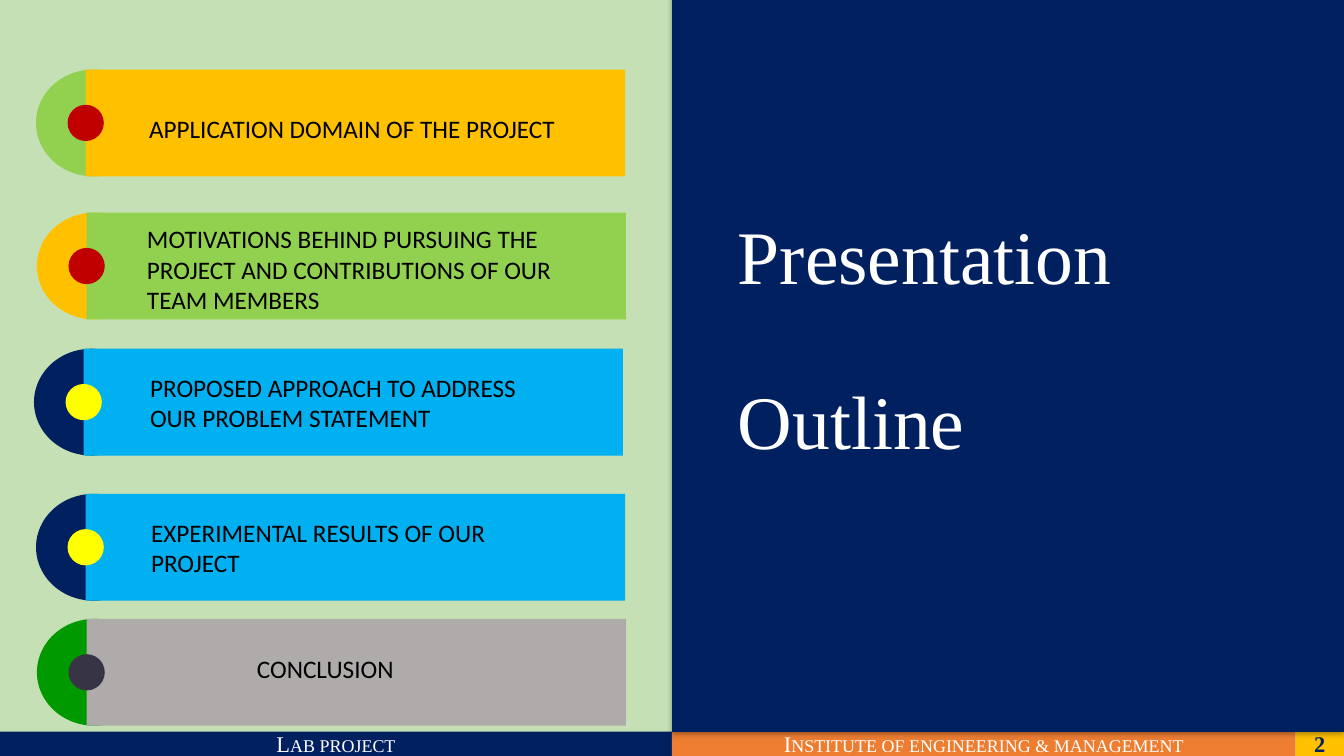
import pptx
import pptx.util
import pptx.dml.color
import pptx.enum.shapes
import pptx.enum.text
import pptx.oxml
from dataclasses import dataclass
from lxml import etree

Shapes = pptx.enum.shapes.MSO_SHAPE
Anchor = pptx.enum.text.MSO_ANCHOR
Align = pptx.enum.text.PP_ALIGN
NAMESPACE = "http://schemas.openxmlformats.org/drawingml/2006/main"
WIDTH = pptx.util.Inches(13.333)
HEIGHT = pptx.util.Inches(7.5)


@dataclass(frozen=True)
class Theme:
    navy: str = "002060"
    orange: str = "ED7D31"
    gold: str = "FFC000"
    pale: str = "C5E0B4"
    lime: str = "92D050"
    sky: str = "00B0F0"
    green: str = "009900"
    grey: str = "AFABAB"
    red: str = "C00000"
    yellow: str = "FFFF00"
    slate: str = "373545"
    white: str = "FFFFFF"
    black: str = "000000"
    serif: str = "Times New Roman"
    sans: str = "Calibri"
    title: int = 54
    item: int = 18
    footer: int = 16


THEME = Theme()
BAR_WIDTH, BAR_HEIGHT = 40.13, 14.13
CAP_WIDTH, CAP_OFFSET = 8.55, 3.7
DOT_WIDTH, DOT_HEIGHT = 2.7, 4.8
LABEL_PADDING, LABEL_LINE = 1.33, 4.07
FOOTER_TOP = 96.67


def across(percent):
    return round(WIDTH * percent / 100)


def down(percent):
    return round(HEIGHT * percent / 100)


def place(left, top, width, height):
    return across(left), down(top), across(width), down(height)


def add_block(slide, kind, box, color):
    block = slide.shapes.add_shape(kind, *place(*box))
    block.shadow.inherit = False
    block.fill.solid()
    block.fill.fore_color.rgb = pptx.dml.color.RGBColor.from_string(color)
    block.line.fill.background()
    return block


def style(paragraph, font, size, color, align=Align.LEFT):
    paragraph.alignment = align
    paragraph.font.name = font
    paragraph.font.size = pptx.util.Pt(size)
    paragraph.font.color.rgb = pptx.dml.color.RGBColor.from_string(color)


def add_footer(slide, left, width, fill, wording, color, number=False):
    box = (left, FOOTER_TOP, width, 100 - FOOTER_TOP)
    frame = add_block(slide, Shapes.RECTANGLE, box, fill).text_frame
    frame.vertical_anchor = Anchor.MIDDLE
    paragraph = frame.paragraphs[0]
    run = paragraph.add_run()
    run.text = wording
    style(paragraph, THEME.serif, THEME.footer, color, Align.CENTER)
    if number:
        paragraph.font.bold = True
    else:
        run.font._element.set("cap", "small")


def add_soft_shadow(block):
    effects = block._element.spPr.find(f"{{{NAMESPACE}}}effectLst")
    effects.append(etree.fromstring(
        f'<a:outerShdw xmlns:a="{NAMESPACE}" blurRad="44450" dist="27940" dir="5400000">'
        '<a:srgbClr val="000000"><a:alpha val="32000"/></a:srgbClr></a:outerShdw>'))


def add_title_panel(slide, words):
    panel = add_block(slide, Shapes.RECTANGLE, (50, -1.33, 50, 98.13), THEME.navy)
    add_soft_shadow(panel)
    frame = panel.text_frame
    frame.vertical_anchor = Anchor.TOP
    frame.margin_left = across(4.9)
    frame.margin_top = down(30.3)
    for index, word in enumerate(words):
        paragraph = frame.add_paragraph() if index else frame.paragraphs[0]
        paragraph.text = word
        paragraph.line_spacing = 0.9
        paragraph.space_before = pptx.util.Pt(60 if index else 0)
        style(paragraph, THEME.serif, THEME.title, THEME.white)


def add_topic(slide, left, top, colors, label, label_left, label_top, lines, label_width=32):
    cap, bar, dot = colors
    add_block(slide, Shapes.OVAL, (left - CAP_OFFSET, top, CAP_WIDTH, BAR_HEIGHT), cap)
    add_block(slide, Shapes.RECTANGLE, (left, top, BAR_WIDTH, BAR_HEIGHT), bar)
    dot_top = top + (BAR_HEIGHT - DOT_HEIGHT) / 2
    add_block(slide, Shapes.OVAL, (left - DOT_WIDTH / 2, dot_top, DOT_WIDTH, DOT_HEIGHT), dot)
    label_height = LABEL_PADDING + LABEL_LINE * lines
    caption = slide.shapes.add_textbox(*place(label_left, label_top, label_width, label_height))
    caption.text_frame.word_wrap = True
    paragraph = caption.text_frame.paragraphs[0]
    paragraph.text = label
    style(paragraph, THEME.sans, THEME.item, THEME.black)


def main():
    deck = pptx.Presentation()
    deck.slide_width, deck.slide_height = WIDTH, HEIGHT
    slide = deck.slides.add_slide(deck.slide_layouts[6])

    add_footer(slide, 0, 50, THEME.navy, "Lab project", THEME.white)
    add_footer(slide, 50, 46.4, THEME.orange, "Institute of engineering & management", THEME.white)
    add_footer(slide, 96.4, 3.6, THEME.gold, "2", THEME.navy, number=True)
    add_block(slide, Shapes.RECTANGLE, (0, 0, 50, 96.8), THEME.pale)
    add_title_panel(slide, ("Presentation", "Outline"))

    blue = (THEME.navy, THEME.sky, THEME.yellow)
    topics = (
        (6.38, 9.2, (THEME.lime, THEME.gold, THEME.red),
         "APPLICATION DOMAIN OF THE PROJECT", 10.35, 14.27, 1),
        (6.45, 28.13, (THEME.gold, THEME.lime, THEME.red),
         "MOTIVATIONS BEHIND PURSUING THE PROJECT AND CONTRIBUTIONS OF OUR TEAM MEMBERS",
         10.2, 28.93, 3, 35),
        (6.23, 46.13, blue,
         "PROPOSED APPROACH TO ADDRESS OUR PROBLEM STATEMENT", 10.43, 48.53, 2),
        (6.38, 65.33, blue,
         "EXPERIMENTAL RESULTS OF OUR PROJECT", 10.5, 67.73, 2),
        (6.45, 81.87, (THEME.green, THEME.grey, THEME.slate),
         "CONCLUSION", 18.38, 85.73, 1),
    )
    for topic in topics:
        add_topic(slide, *topic)
    deck.save("out.pptx")


main()
